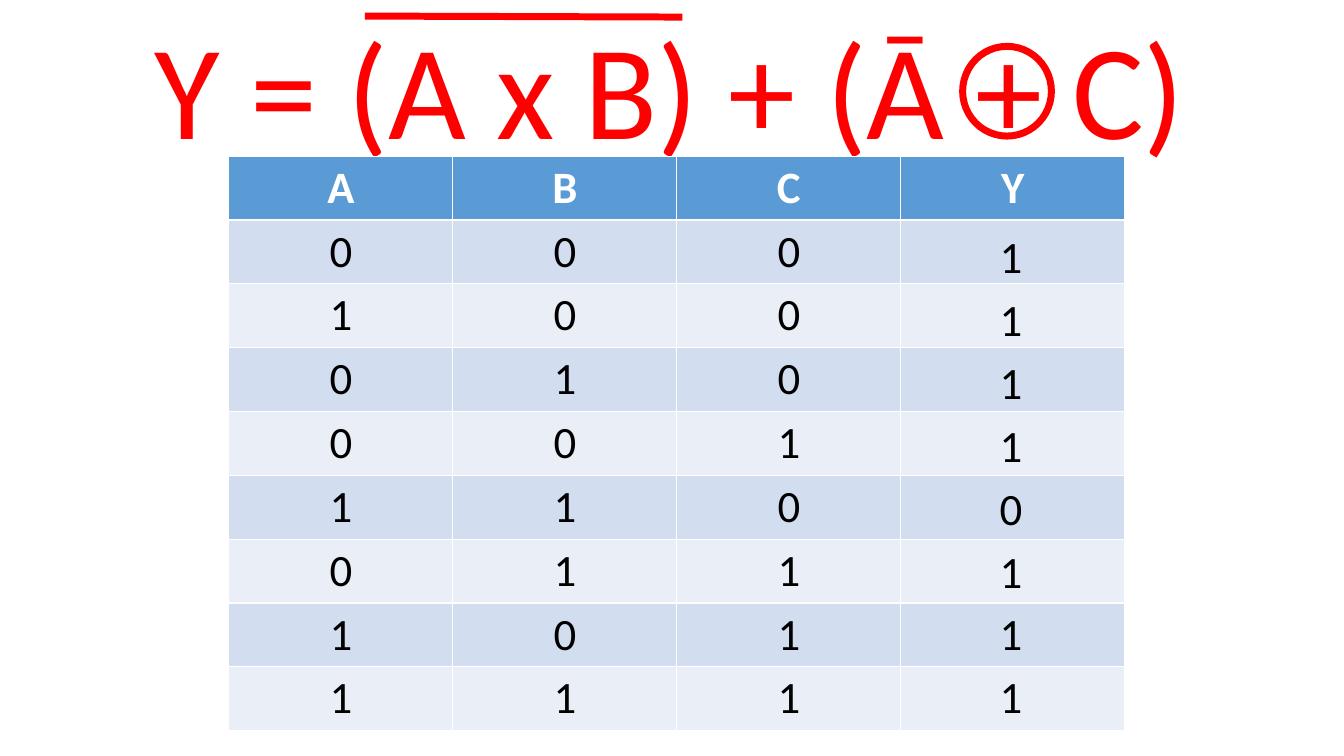
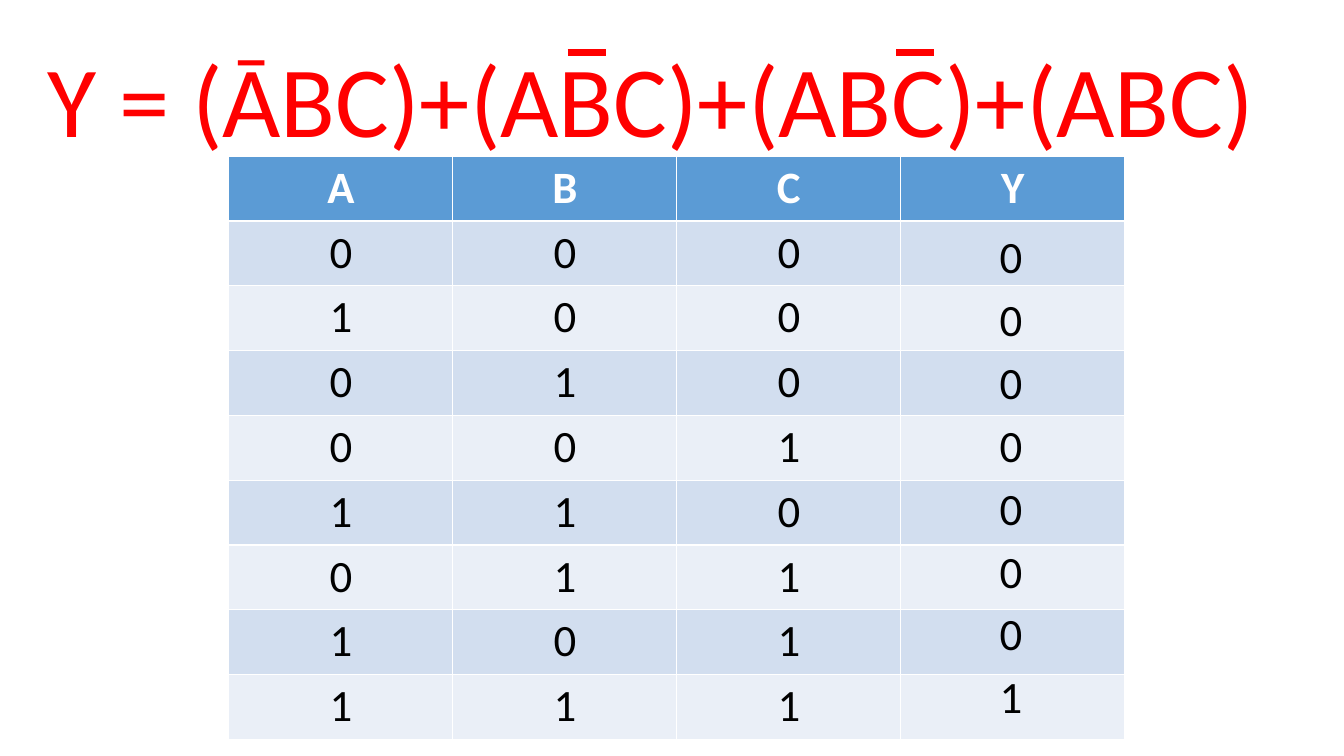
from dataclasses import dataclass

from lxml.etree import SubElement
from pptx import Presentation
from pptx.dml.color import RGBColor as Rgb
from pptx.enum.shapes import MSO_CONNECTOR as Link, MSO_SHAPE as Form
from pptx.enum.text import MSO_ANCHOR as Anchor, MSO_AUTO_SIZE as Fit, PP_ALIGN as Align
from pptx.oxml.ns import qn
from pptx.util import Pt


@dataclass(frozen=True)
class Theme:
    font: str = "Calibri"
    red: Rgb = Rgb(0xFF, 0x00, 0x00)
    black: Rgb = Rgb(0x00, 0x00, 0x00)
    white: Rgb = Rgb(0xFF, 0xFF, 0xFF)
    head: Rgb = Rgb(0x5B, 0x9B, 0xD5)
    bands: tuple = (Rgb(0xD2, 0xDE, 0xEF), Rgb(0xEA, 0xEF, 0xF7))
    text: int = 32
    large: int = 96
    medium: int = 72
    stroke: int = 5


HEADS = "ABCY"
INPUTS = ("000", "100", "010", "001", "110", "011", "101", "111")


class Deck:
    def __init__(self, theme):
        self.theme = theme
        self.file = Presentation()
        self.file.slide_width, self.file.slide_height = Pt(960), Pt(540)
        self.slide = None

    def add(self):
        self.slide = self.file.slides.add_slide(self.file.slide_layouts[5])

    def style(self, para, size, color, bold=False, align=Align.LEFT):
        para.alignment = align
        font = para.font
        font.name, font.size, font.bold = self.theme.font, Pt(size), bold
        font.color.rgb = color

    def title(self, text, size, left, top, width, height):
        shape = self.slide.shapes.title
        shape.left, shape.top = Pt(left), Pt(top)
        shape.width, shape.height = Pt(width), Pt(height)
        frame = shape.text_frame
        frame.text = text
        frame.word_wrap = False
        frame.auto_size = Fit.SHAPE_TO_FIT_TEXT
        frame.vertical_anchor = Anchor.TOP
        self.style(frame.paragraphs[0], size, self.theme.red)

    def table(self, row):
        """Draw the truth table with rows of the given height; Y stays open."""
        look = self.theme
        lines = (HEADS, *INPUTS)
        grid = self.slide.shapes.add_table(
            len(lines), len(HEADS), Pt(163.5), Pt(111.6), Pt(640), Pt(row * len(lines))
        ).table
        for i, line in enumerate(lines):
            grid.rows[i].height = Pt(row)
            fill = look.bands[(i - 1) % 2] if i else look.head
            for j in range(len(HEADS)):
                cell = grid.cell(i, j)
                cell.margin_top = cell.margin_bottom = Pt(3.2)
                cell.fill.solid()
                cell.fill.fore_color.rgb = fill
                if j < len(line):
                    cell.text = line[j]
                    color = look.black if i else look.white
                    self.style(cell.text_frame.paragraphs[0], look.text, color,
                               not i, Align.CENTER)

    def result(self, bits):
        """Write the Y column, one bit to a row."""
        box = self.slide.shapes.add_textbox(Pt(707), Pt(160), Pt(31), Pt(380))
        frame = box.text_frame
        frame.word_wrap = False
        frame.text = "\n".join(bits)
        for para in frame.paragraphs:
            self.style(para, self.theme.text, self.theme.black)
            para.space_after = Pt(6.5)

    def bar(self, left, right, top, end=None):
        """Draw the overline that marks a negated term."""
        line = self.slide.shapes.add_connector(
            Link.STRAIGHT, Pt(left), Pt(top), Pt(right), Pt(end or top)
        )
        self.stroke(line)
        SubElement(line._element.spPr, qn("a:effectLst"))

    def ring(self, left, top, width, height):
        """Draw the circle that turns a plus into XOR."""
        oval = self.slide.shapes.add_shape(
            Form.OVAL, Pt(left), Pt(top), Pt(width), Pt(height)
        )
        oval.shadow.inherit = False
        oval.fill.background()
        self.stroke(oval)

    def stroke(self, shape):
        shape.line.color.rgb = self.theme.red
        shape.line.width = Pt(self.theme.stroke)


def main():
    theme = Theme()
    deck = Deck(theme)

    deck.add()
    deck.title("Y = (A x B) + (Ā + C)", theme.large, 103, 0, 759, 124)
    deck.table(45.6)
    deck.bar(260.6, 487.4, 11.5, 12.2)
    deck.ring(687.6, 33.1, 63.4, 64.1)
    deck.result("11110111")

    deck.add()
    deck.title("Y = (ĀBC)+(ABC)+(ABC)+(ABC)", theme.medium, 26.6, 22.3, 902, 94.5)
    deck.table(46.3)
    for left in (405.4, 640.1):
        deck.bar(left, left + 27.3, 37.4)
    deck.result("00000001")

    deck.file.save("out.pptx")


if __name__ == "__main__":
    main()
